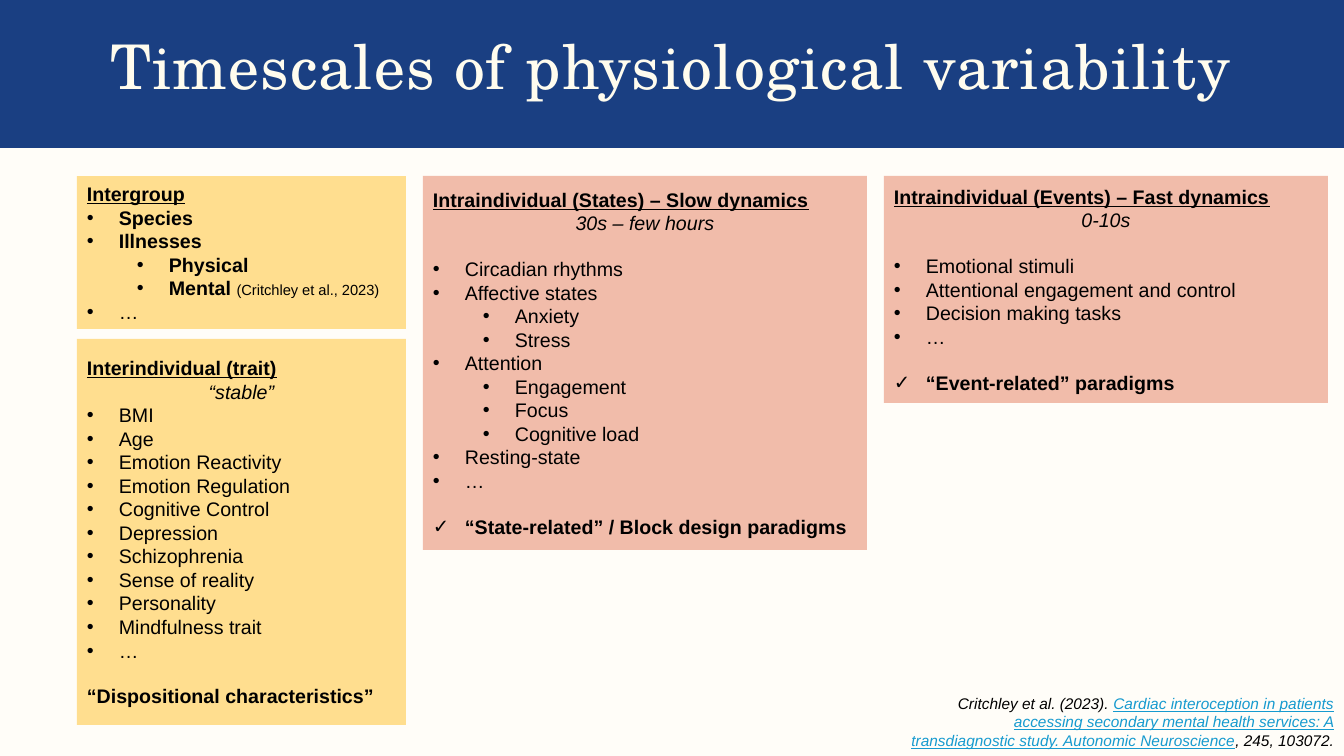
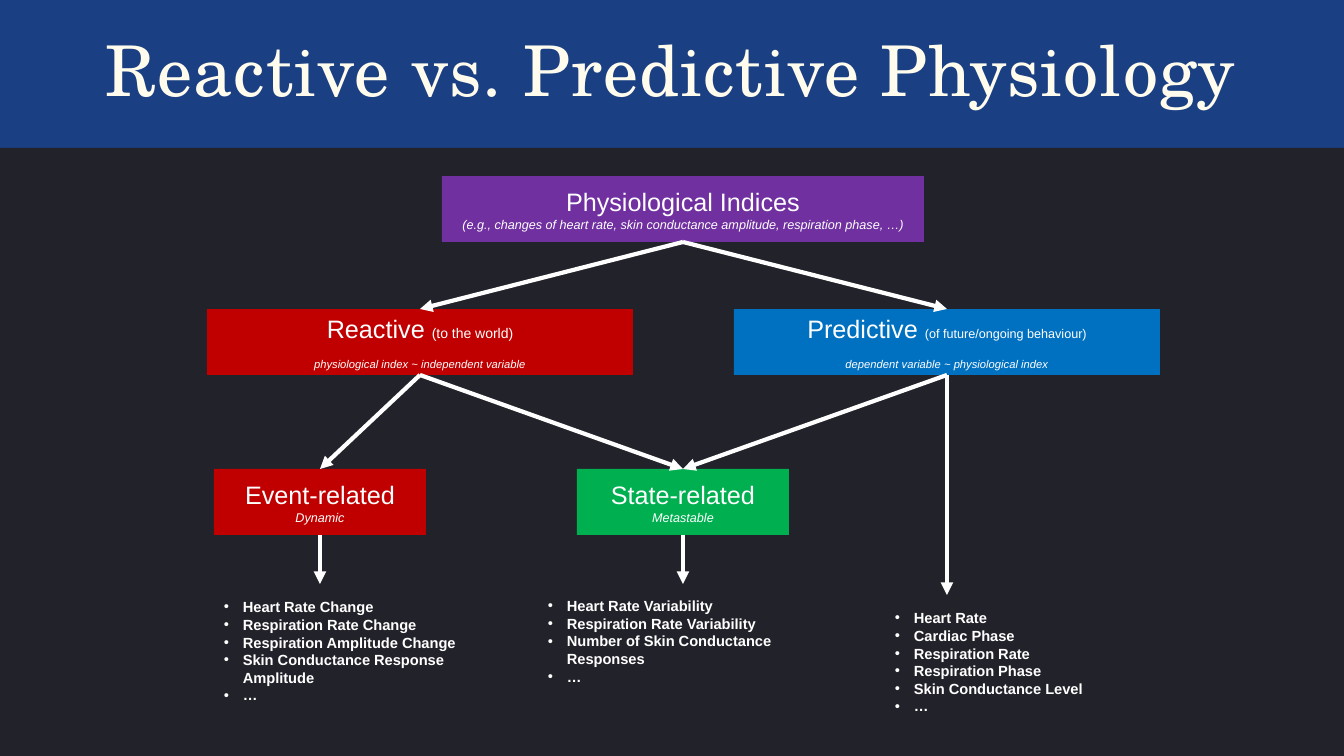
from dataclasses import dataclass, replace

from lxml.etree import SubElement
from pptx import Presentation
from pptx.dml.color import RGBColor
from pptx.enum.shapes import MSO_CONNECTOR, MSO_SHAPE
from pptx.enum.text import MSO_ANCHOR as ANCHOR, PP_ALIGN as ALIGN
from pptx.oxml.ns import qn
from pptx.util import Pt

PX = 9071  # EMU in one px
WIDTH, HEIGHT, BAND = 1344, 756, 148
rgb = RGBColor.from_string

NAVY, CREAM, IVORY, DARK = "1A3F82", "FFFDF8", "FFFCEE", "22222A"
YELLOW, PINK = "FFDE8F", "F1BCAA"
PURPLE, RED, BLUE, GREEN = "7030A0", "C00000", "0070C0", "00B050"
BLACK, WHITE, LINK = "000000", "FFFFFF", "169ACF"


@dataclass
class Style:
    size: float = 14
    color: str = BLACK
    font: str = "Arial"
    bold: bool = False
    italic: bool = False
    underline: bool = False
    align: int = ALIGN.LEFT
    bullet: str = ""
    indent: int = 0
    hang: int = 0
    gap: float = 0
    spacing: float = 1
    track: int = 0


# Text styles
TITLE = Style(44, IVORY, "TeX Gyre Schola", align=ALIGN.CENTER, spacing=0.9, track=80)
BIG_TITLE = replace(TITLE, size=50)

HEADING = Style(bold=True, underline=True)
RANGE = Style(italic=True, align=ALIGN.CENTER)
ITEM = Style(bullet="•", indent=32, hang=32)
FIRST = replace(ITEM, gap=16)
SUB = replace(ITEM, indent=82)
BOLD_ITEM = replace(ITEM, bold=True)
BOLD_SUB = replace(SUB, bold=True)
CITATION = Style(10.5)
CHECK = replace(BOLD_ITEM, bullet="✓", gap=16)
CLOSING = Style(bold=True, gap=16)
REFERENCE = Style(11, italic=True, align=ALIGN.RIGHT)
REFERENCE_LINK = replace(REFERENCE, color=LINK, underline=True)

NODE = Style(18, WHITE, align=ALIGN.CENTER)
NODE_NOTE = replace(NODE, size=9, italic=True)
FORMULA = replace(NODE_NOTE, size=8, gap=9.2)
MEASURE = Style(10.5, WHITE, bold=True, bullet="•", indent=19, hang=19)


def add_box(s, x, y, w, h, lines=(), fill=None, anchor=ANCHOR.MIDDLE):
    """Each line is a list of (style, text) runs; its first style sets the paragraph."""
    frame = (x * PX, y * PX, w * PX, h * PX)
    if fill:
        sp = s.shapes.add_shape(MSO_SHAPE.RECTANGLE, *frame)
        sp.shadow.inherit = False
        sp.fill.solid()
        sp.fill.fore_color.rgb = rgb(fill)
        sp.line.fill.background()
    else:
        sp = s.shapes.add_textbox(*frame)
    tf = sp.text_frame
    tf.word_wrap = True
    tf.vertical_anchor = anchor
    for i, runs in enumerate(lines):
        p = tf.add_paragraph() if i else tf.paragraphs[0]
        style = runs[0][0]
        p.alignment = style.align
        p.line_spacing = style.spacing
        p.space_before = Pt(style.gap)
        if style.bullet:
            pPr = p._p.get_or_add_pPr()
            pPr.set("marL", str(style.indent * PX))
            pPr.set("indent", str(-style.hang * PX))
            SubElement(pPr, qn("a:buFont"), typeface="Arial")
            SubElement(pPr, qn("a:buChar"), char=style.bullet)
        for look, text in runs:
            r = p.add_run()
            r.text = text
            r.font.name, r.font.size = look.font, Pt(look.size)
            r.font.bold, r.font.italic = look.bold, look.italic
            r.font.underline = look.underline
            r.font.color.rgb = rgb(look.color)
            if look.track:
                r.font._element.set("spc", str(look.track))
    return sp


def add_arrow(s, start, end=None, length=0):
    """Arrow from a box's bottom to another box's top, or straight down."""
    x, y = start.left + start.width // 2, start.top + start.height
    c = s.shapes.add_connector(MSO_CONNECTOR.STRAIGHT, x, y, x, y + length * PX)
    c.begin_connect(start, 2)
    if end is not None:
        c.end_connect(end, 0)
    c.line.color.rgb = rgb(WHITE)
    c.line.width = Pt(3)
    SubElement(c.line._get_or_add_ln(), qn("a:tailEnd"), type="triangle")
    SubElement(c._element.spPr, qn("a:effectLst"))


prs = Presentation()
prs.slide_width, prs.slide_height = WIDTH * PX, HEIGHT * PX

# Shared background, band and title
slides = []
for style, title in [
    (TITLE, "Timescales of physiological variability"),
    (BIG_TITLE, "Reactive vs. Predictive Physiology"),
]:
    s = prs.slides.add_slide(prs.slide_layouts[6])
    s.background.fill.solid()
    s.background.fill.fore_color.rgb = rgb(CREAM)
    add_box(s, 0, 0, WIDTH, BAND, fill=NAVY)
    add_box(s, 87, 31, 1169, 86, [[(style, title)]], anchor=ANCHOR.TOP)
    slides.append(s)
timescales, physiology = slides

# Slide 1: reference
add_box(timescales, 900, 689, 444, 67, [[
    (REFERENCE, "Critchley et al. (2023). "),
    (REFERENCE_LINK, "Cardiac interoception in patients accessing secondary mental "
                     "health services: A transdiagnostic study. Autonomic Neuroscience"),
    (REFERENCE, ", 245, 103072."),
]], anchor=ANCHOR.TOP)

# Slide 1: timescale panels
traits = ["Age", "Emotion Reactivity", "Emotion Regulation", "Cognitive Control",
          "Depression", "Schizophrenia", "Sense of reality", "Personality",
          "Mindfulness trait", "…"]
panels = [
    (77, 176, 329, 153, YELLOW, [
        [(HEADING, "Intergroup")],
        [(BOLD_ITEM, "Species")],
        [(BOLD_ITEM, "Illnesses")],
        [(BOLD_SUB, "Physical")],
        [(BOLD_SUB, "Mental "), (CITATION, "(Critchley et al., 2023)")],
        [(ITEM, "…")],
    ]),
    (423, 176, 444, 374, PINK, [
        [(HEADING, "Intraindividual (States) – Slow dynamics")],
        [(RANGE, "30s – few hours")],
        [(FIRST, "Circadian rhythms")],
        [(ITEM, "Affective states")],
        [(SUB, "Anxiety")],
        [(SUB, "Stress")],
        [(ITEM, "Attention")],
        [(SUB, "Engagement")],
        [(SUB, "Focus")],
        [(SUB, "Cognitive load")],
        [(ITEM, "Resting-state")],
        [(ITEM, "…")],
        [(CHECK, "“State-related” / Block design paradigms")],
    ]),
    (77, 339, 329, 386, YELLOW, [
        [(HEADING, "Interindividual (trait)")],
        [(RANGE, "“stable”")],
        [(ITEM, "BMI")],
        *[[(ITEM, trait)] for trait in traits],
        [(CLOSING, "“Dispositional characteristics”")],
    ]),
    (884, 176, 444, 227, PINK, [
        [(HEADING, "Intraindividual (Events) – Fast dynamics")],
        [(RANGE, "0-10s")],
        [(FIRST, "Emotional stimuli")],
        [(ITEM, "Attentional engagement and control")],
        [(ITEM, "Decision making tasks")],
        [(ITEM, "…")],
        [(CHECK, "“Event-related” paradigms")],
    ]),
]
for x, y, w, h, fill, lines in panels:
    add_box(timescales, x, y, w, h, lines, fill)

# Slide 2: dark backdrop
s = physiology
add_box(s, 0, BAND, WIDTH, HEIGHT - BAND, fill=DARK)

# Slide 2: tree nodes, placed by centre
nodes = {}
for name, center, y, w, fill, lines in [
    ("indices", 683, 176, 482, PURPLE, [
        [(NODE, "Physiological Indices")],
        [(NODE_NOTE, "(e.g., changes of heart rate, skin conductance amplitude, "
                     "respiration phase, …)")],
    ]),
    ("reactive", 420, 309, 426, RED, [
        [(NODE, "Reactive "), (replace(NODE, size=10), "(to the world)")],
        [(FORMULA, "physiological index ~ independent variable")],
    ]),
    ("predictive", 947, 309, 426, BLUE, [
        [(NODE, "Predictive "), (replace(NODE, size=9), "(of future/ongoing behaviour)")],
        [(FORMULA, "dependent variable ~ physiological index")],
    ]),
    ("event", 320, 469, 212, RED, [[(NODE, "Event-related")], [(NODE_NOTE, "Dynamic")]]),
    ("state", 683, 469, 212, GREEN, [[(NODE, "State-related")], [(NODE_NOTE, "Metastable")]]),
]:
    nodes[name] = add_box(s, center - w // 2, y, w, 66, lines, fill)

# Slide 2: arrows between nodes, then down to the measures
for start, end in [("indices", "reactive"), ("indices", "predictive"),
                   ("reactive", "event"), ("reactive", "state"), ("predictive", "state")]:
    add_arrow(s, nodes[start], nodes[end])
for start, length in [("event", 49), ("state", 49), ("predictive", 220)]:
    add_arrow(s, nodes[start], length=length)

# Slide 2: measures
for x, y, w, measures in [
    (214, 586, 291, ["Heart Rate Change", "Respiration Rate Change",
                     "Respiration Amplitude Change",
                     "Skin Conductance Response Amplitude", "…"]),
    (538, 576, 314, ["Heart Rate Variability", "Respiration Rate Variability",
                     "Number of Skin Conductance Responses", "…"]),
    (885, 597, 213, ["Heart Rate", "Cardiac Phase", "Respiration Rate",
                     "Respiration Phase", "Skin Conductance Level", "…"]),
]:
    add_box(s, x, y, w, 130, [[(MEASURE, m)] for m in measures])

prs.save("out.pptx")
